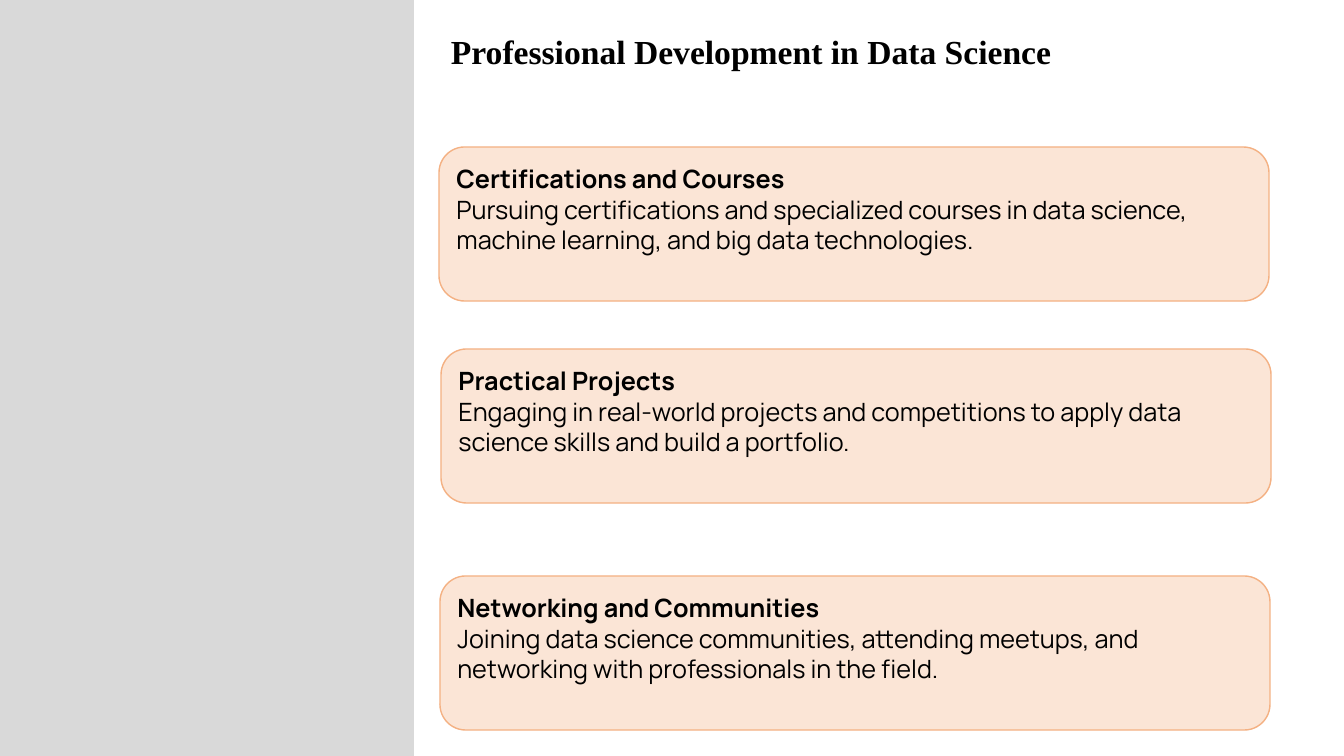
from pptx import Presentation
from pptx import util as u
from pptx.dml import color
from pptx.enum import shapes, text

SCALE = 12192000 / 1344
CARDS = [
    (439, 147, "Certifications and Courses",
     "Pursuing certifications and specialized courses in data science, "
     "machine learning, and big data technologies."),
    (441, 349, "Practical Projects",
     "Engaging in real-world projects and competitions to apply data "
     "science skills and build a portfolio."),
    (440, 576, "Networking and Communities",
     "Joining data science communities, attending meetups, and "
     "networking with professionals in the field."),
]


def px(num):
    return u.Emu(round(num * SCALE))


def tint(code):
    return color.RGBColor.from_string(code)


def add_run(para, words, size, font, bold):
    para.alignment = text.PP_ALIGN.LEFT
    run = para.add_run()
    run.text = words
    run.font.size = u.Pt(size)
    run.font.name = font
    run.font.bold = bold
    run.font.color.rgb = tint("000000")


def add_box(slide, kind, box, fill, line=None):
    shape = slide.shapes.add_shape(kind, *map(px, box))
    shape.shadow.inherit = False
    shape.fill.solid()
    shape.fill.fore_color.rgb = tint(fill)
    if line:
        shape.line.color.rgb = tint(line)
        shape.line.width = u.Pt(1)
    else:
        shape.line.fill.background()
    return shape


def add_title(slide, words):
    frame = slide.shapes.add_textbox(*map(px, (441, 26, 672, 92))).text_frame
    frame.word_wrap = True
    add_run(frame.paragraphs[0], words, 24, "Times New Roman", True)


def add_card(slide, left, top, head, body):
    card = add_box(slide, shapes.MSO_SHAPE.ROUNDED_RECTANGLE,
                   (left, top, 830, 154), "FBE5D6", "F4B183")
    frame = card.text_frame
    frame.word_wrap = True
    frame.vertical_anchor = text.MSO_ANCHOR.MIDDLE
    frame.margin_bottom = px(35)
    add_run(frame.paragraphs[0], head, 18, "Manrope", True)
    add_run(frame.add_paragraph(), body, 18, "Manrope", False)


def main():
    deck = Presentation()
    deck.slide_width, deck.slide_height = px(1344), px(756)
    slide = deck.slides.add_slide(deck.slide_layouts[6])
    add_box(slide, shapes.MSO_SHAPE.RECTANGLE, (0, 0, 414, 756), "D9D9D9")
    add_title(slide, "Professional Development in Data Science")
    for card in CARDS:
        add_card(slide, *card)
    deck.save("out.pptx")


if __name__ == "__main__":
    main()
